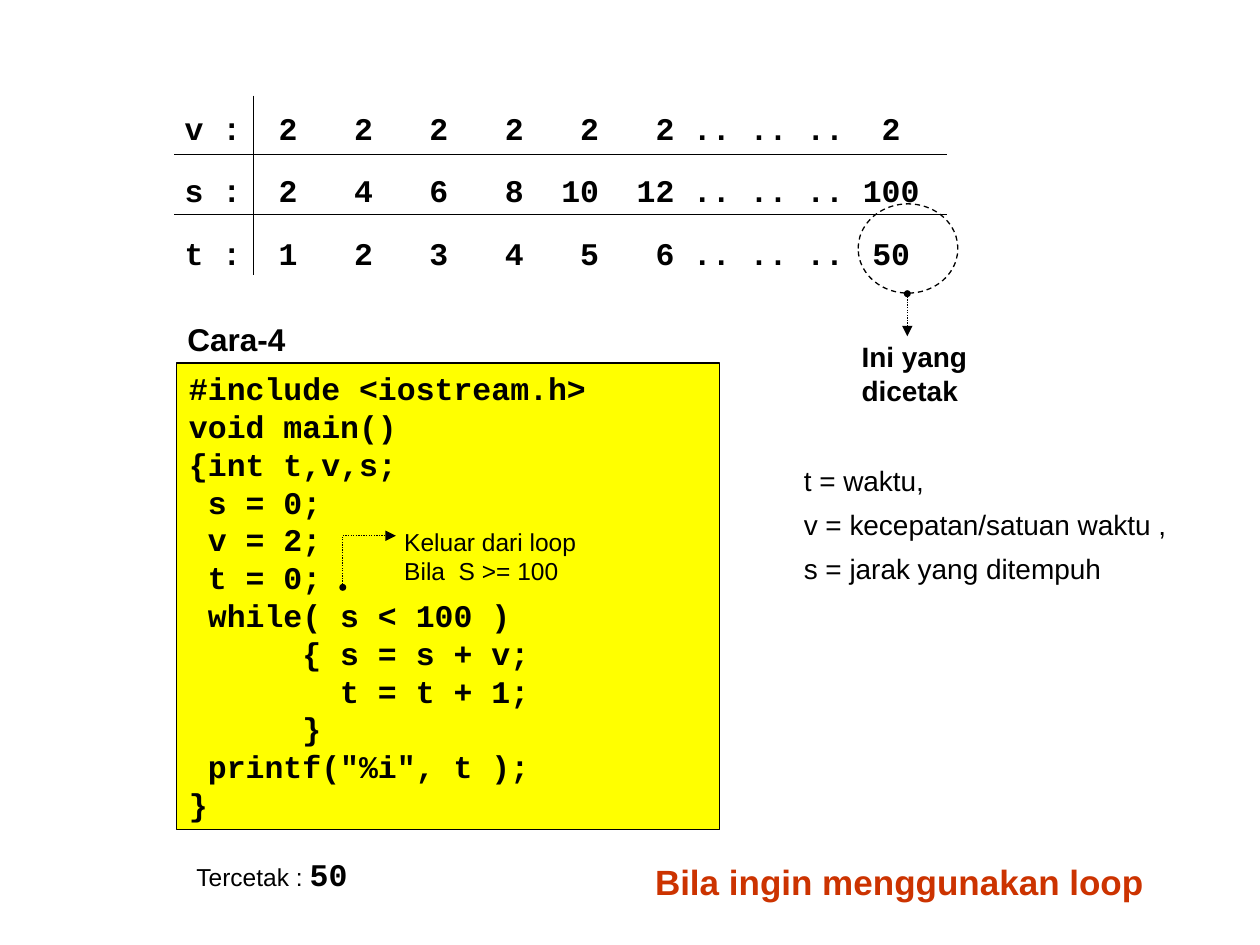
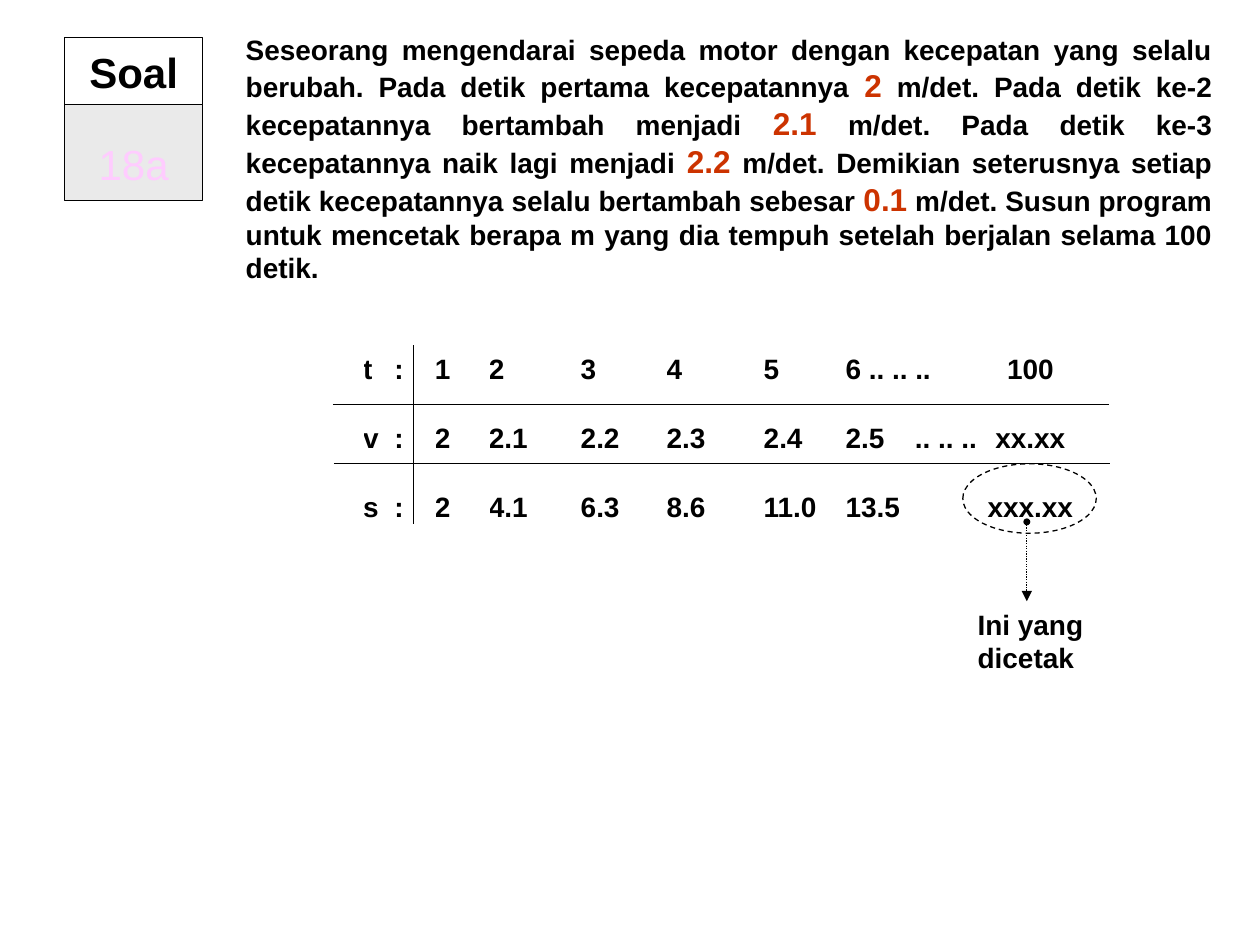
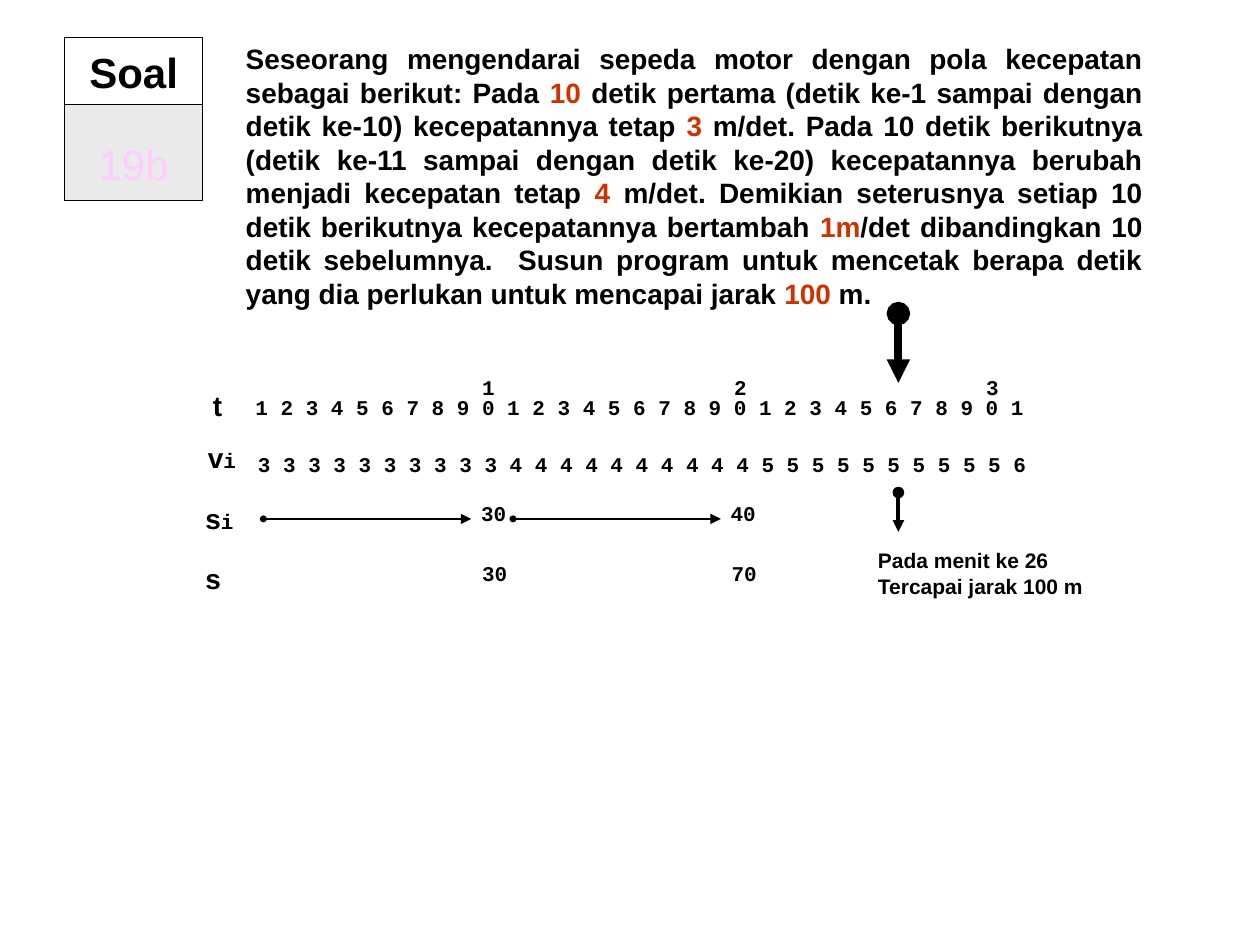
from dataclasses import dataclass
from functools import reduce
from itertools import pairwise

from lxml.etree import SubElement
from pptx import Presentation
from pptx.dml.color import RGBColor
from pptx.enum.dml import MSO_LINE
from pptx.enum.shapes import MSO_CONNECTOR, MSO_SHAPE
from pptx.enum.text import MSO_ANCHOR, MSO_AUTO_SIZE, PP_ALIGN
from pptx.oxml.ns import qn
from pptx.util import Cm, Pt


@dataclass(frozen=True)
class Theme:
    ink: RGBColor = RGBColor(0, 0, 0)
    red: RGBColor = RGBColor(0xCC, 0x33, 0x00)
    pink: RGBColor = RGBColor(0xFF, 0xCC, 0xFF)
    gray: RGBColor = RGBColor(0xEA, 0xEA, 0xEA)
    gold: RGBColor = RGBColor(0xFF, 0xFF, 0x00)
    sans: str = "Arial"
    mono: str = "Courier New"
    tiny: int = 12
    note: int = 14
    text: int = 16
    code: int = 18
    head: int = 20
    tag: int = 24
    thin: float = 0.75


T = Theme()
LEFT, MID, RIGHT = PP_ALIGN.LEFT, PP_ALIGN.CENTER, PP_ALIGN.RIGHT


def font(size, name=T.sans, bold=True, ink=T.ink):
    return {"name": name, "size": Pt(size), "bold": bold, "color.rgb": ink}


PLAIN = font(T.text, bold=False)
BOLD = font(T.text)
CODE = font(T.code, T.mono)
SMALL = font(T.tiny, T.mono)
NOTE = font(T.note, bold=False)
RED = {"color.rgb": T.red}
BIG = RED | {"size": Pt(T.code)}


def style(item, vals):
    for key, val in vals.items():
        *way, end = key.split(".")
        setattr(reduce(getattr, way, item), end, val)


def place(shape, box):
    style(shape, dict(zip(("left", "top", "width", "height"), map(Cm, box))))


def pour(frame, paras, base, gap=1.0, align=LEFT):
    for i, runs in enumerate(paras):
        para = frame.paragraphs[0] if i == 0 else frame.add_paragraph()
        props = para._p.get_or_add_pPr()
        props.set("marL", "0")
        props.set("indent", "0")
        SubElement(props, qn("a:buNone"))
        style(para, {"alignment": align, "space_before": Pt(0), "line_spacing": gap})
        for part in [runs] if isinstance(runs, str) else runs:
            words, change = (part, {}) if isinstance(part, str) else part
            run = para.add_run()
            run.text = words
            style(run.font, base | change)


def write(shape, paras, base, wrap=False, anchor=MSO_ANCHOR.TOP, **opts):
    style(shape.text_frame, {"auto_size": MSO_AUTO_SIZE.NONE, "word_wrap": wrap,
                             "vertical_anchor": anchor})
    pour(shape.text_frame, paras, base, **opts)


def label(slide, box, paras, base, **opts):
    write(slide.shapes.add_textbox(*map(Cm, box)), paras, base, **opts)


def fill(slide, slot, box, paras, base, **opts):
    shape = slide.placeholders[slot]
    place(shape, box)
    write(shape, paras, base, **opts)
    return shape


def edge(shape, dash=None, width=T.thin):
    style(shape.line, {"color.rgb": T.ink, "width": Pt(width), "dash_style": dash})


def block(slide, box, tint=None, kind=MSO_SHAPE.RECTANGLE, dash=None):
    shape = slide.shapes.add_shape(kind, *map(Cm, box))
    shape.shadow.inherit = False
    if tint is None:
        shape.fill.background()
    else:
        shape.fill.solid()
        shape.fill.fore_color.rgb = tint
    edge(shape, dash)
    return shape


def line(slide, start, stop, head=None, tail=None, dash=None, width=T.thin):
    link = slide.shapes.add_connector(
        MSO_CONNECTOR.STRAIGHT, *map(Cm, start + stop))
    edge(link, dash, width)
    for name, kind in (("a:headEnd", head), ("a:tailEnd", tail)):
        if kind:
            size = "sm" if kind == "oval" and width == T.thin else "med"
            SubElement(link.line._get_or_add_ln(), qn(name),
                       type=kind, w=size, len=size)
    SubElement(link._element.spPr, qn("a:effectLst"))


def arrow(slide, start, stop, **opts):
    line(slide, start, stop, head="oval", tail="triangle", **opts)


def table(slide, edges, top, pitch, rows, base, sides):
    wide = edges[-1] - edges[0]
    grid = slide.shapes.add_table(
        len(rows), len(sides),
        *map(Cm, (edges[0], top, wide, pitch * len(rows)))).table
    style(grid, {"first_row": False, "horz_banding": False})
    for col, (start, stop) in zip(grid.columns, pairwise(edges)):
        col.width = Cm(stop - start)
    for r, row in enumerate(rows):
        grid.rows[r].height = Cm(pitch)
        for c, words in enumerate(row):
            cell = grid.cell(r, c)
            cell.fill.background()
            style(cell, {"margin_left": 0, "margin_right": 0, "margin_top": 0,
                         "margin_bottom": 0, "vertical_anchor": MSO_ANCHOR.MIDDLE})
            if words:
                pour(cell.text_frame, [words], base, align=sides[c])
    return grid


def rules(slide, rows, post, top, base):
    for left, right, y in rows:
        line(slide, (left, y), (right, y))
    line(slide, (post, top), (post, base))


def result(slide, ring, start, stop, spot):
    block(slide, ring, kind=MSO_SHAPE.OVAL, dash=MSO_LINE.DASH)
    arrow(slide, start, stop, dash=MSO_LINE.ROUND_DOT)
    label(slide, spot + (2.64, 1.63), ["Ini yang", "dicetak"], BOLD)


def task(slide, mark, box, runs):
    fill(slide, 1, box, [runs], BOLD, wrap=True, align=PP_ALIGN.JUSTIFY)
    head = fill(slide, 0, (1.3, 0.76, 2.79, 1.35), ["Soal"], font(T.tag),
                align=MID, anchor=MSO_ANCHOR.MIDDLE)
    edge(head)
    badge = block(slide, (1.3, 2.11, 2.79, 1.93), T.gray)
    write(badge, [mark], font(T.tag, bold=False, ink=T.pink),
          align=MID, anchor=MSO_ANCHOR.BOTTOM)
    badge.text_frame.margin_bottom = Cm(0.23)


def loop(slide):
    fill(slide, 1, (15.95, 9.02, 8.13, 2.9),
         ["t = waktu,", "v = kecepatan/satuan waktu ,", "s = jarak yang ditempuh"],
         PLAIN, gap=1.3)
    fill(slide, 0, (12.95, 17.22, 11.4, 1.12), ["Bila ingin menggunakan loop"],
         font(T.head, ink=T.red))
    source = """#include <iostream.h>
void main()
{int t,v,s;
 s = 0;
 v = 2;
 t = 0;
 while( s < 100 )
      { s = s + v;
        t = t + 1;
      }
 printf("%i", t );
}"""
    write(block(slide, (3.56, 7.32, 10.95, 9.4), T.gold),
          source.split("\n"), CODE, wrap=True)
    label(slide, (3.71, 17.12, 3.61, 1.02), [["Tercetak : ", ("50", CODE)]], NOTE)
    label(slide, (3.53, 6.32, 2.49, 1.02), ["Cara-4"], font(T.code))

    edges = [3.72 + 0.38 * n for n in (0, *range(4, 7, 2), *range(10, 27, 4), 35, 40)]
    dots = ".. .. .."
    rows = [["v :", *"222222", dots, "2"],
            ["s :", *(str(n) for n in range(2, 13, 2)), dots, "100"],
            ["t :", *"123456", dots, "50"]]
    table(slide, edges, 2.03, 1.26, rows, CODE, [LEFT, *[RIGHT] * 7, MID])
    rules(slide, [(3.51, 19.1, y) for y in (3.12, 4.32)], 5.11, 1.93, 5.54)
    result(slide, (17.3, 4.11, 2.01, 1.8), (18.29, 5.92), (18.29, 6.78), (17.12, 6.73))

    bend = (6.91, 10.8)
    line(slide, (6.91, 11.84), bend, head="oval", dash=MSO_LINE.ROUND_DOT)
    line(slide, bend, (7.98, 10.8), tail="triangle", dash=MSO_LINE.ROUND_DOT)
    label(slide, (7.9, 10.49, 4.32, 1.45),
          ["Keluar dari loop", "Bila  S >= 100"], NOTE, wrap=True)


def speed(slide):
    task(slide, "18a", (4.7, 0.53, 19.99, 5.33), [
        "Seseorang mengendarai sepeda motor dengan kecepatan yang selalu berubah. "
        "Pada detik pertama kecepatannya ", ("2", BIG),
        " m/det. Pada detik ke-2 kecepatannya bertambah menjadi ", ("2.1", BIG),
        " m/det. Pada detik ke-3 kecepatannya naik lagi menjadi ", ("2.2", BIG),
        " m/det. Demikian seterusnya setiap detik kecepatannya selalu bertambah "
        "sebesar ", ("0.1", BIG),
        " m/det. Susun program untuk mencetak berapa m yang dia tempuh setelah "
        "berjalan selama 100 detik."])
    edges = [7.32, 7.95, 8.77, 9.86, 11.71, 13.44, 15.4, 17.05, 18.45, 19.85, 21.7]
    rows = [["t", ":", *"12345", "6 .. .. ..", "", "100"],
            ["v", ":", "2", "2.1", "2.2", "2.3", "2.4", "2.5", ".. .. ..", "xx.xx"],
            ["s", ":", "2", "4.1", "6.3", "8.6", "11.0", "13.5", "", "xxx.xx"]]
    grid = table(slide, edges, 6.77, 1.39, rows, BOLD, [LEFT] * 9 + [MID])
    grid.cell(0, 7).merge(grid.cell(0, 8))
    rules(slide, [(6.71, 22.35, 8.15), (6.73, 22.38, 9.35)], 8.33, 6.96, 10.57)
    result(slide, (19.41, 9.35, 2.69, 1.4), (20.7, 10.52), (20.7, 12.12), (19.46, 12.12))


def steps(slide):
    task(slide, "19b", (4.7, 0.71, 18.59, 5.69), [
        "Seseorang mengendarai sepeda motor dengan pola kecepatan sebagai berikut: "
        "Pada ", ("10 ", RED),
        "detik pertama (detik ke-1 sampai dengan detik ke-10) kecepatannya tetap ",
        ("3", RED),
        " m/det. Pada 10 detik berikutnya (detik ke-11 sampai dengan detik ke-20) "
        "kecepatannya berubah menjadi kecepatan tetap ", ("4", RED),
        " m/det. Demikian seterusnya setiap 10 detik berikutnya kecepatannya "
        "bertambah ", ("1m", RED),
        "/det dibandingkan 10 detik sebelumnya.  Susun program untuk mencetak berapa "
        "detik yang dia perlukan untuk mencapai jarak ", ("100", RED), " m."])
    for x, y, runs in ((4.04, 7.7, ["t"]), (3.94, 8.76, ["v", ("i", SMALL)]),
                       (3.89, 9.98, ["s", ("i", SMALL)]), (3.89, 11.2, ["s"])):
        label(slide, (x, y, 1.17, 0.94), [runs], BOLD, wrap=True)

    times = " ".join(str(n % 10) for n in range(1, 32))
    rates = " ".join(str(3 + n // 10) for n in range(31))
    label(slide, (4.9, 7.82, 16, 0.76), [times], SMALL)
    label(slide, (4.95, 8.97, 16, 0.76), [rates], SMALL)
    for i, ten in enumerate("123"):
        label(slide, (9.47 + 5.08 * i, 7.42, 0.76, 0.76), [ten], SMALL)
    for x, y, total in ((9.45, 9.96, "30"), (14.48, 9.96, "40"),
                        (9.47, 11.18, "30"), (14.5, 11.18, "70")):
        label(slide, (x, y, 1.02, 0.76), [total], SMALL)
    for x in (5.31, 10.34):
        arrow(slide, (x, 10.46), (x + 4.19, 10.46))
    for top, base, width in ((9.93, 10.72, 2.25), (6.32, 7.72, 4.5)):
        arrow(slide, (18.11, top), (18.11, base), width=width)
    label(slide, (17.45, 10.92, 4.67, 1.27),
          ["Pada menit ke 26", "Tercapai jarak 100 m"], font(T.tiny))


def main():
    deck = Presentation()
    style(deck, {"slide_width": Cm(25.4), "slide_height": Cm(19.05)})
    for build in (loop, speed, steps):
        build(deck.slides.add_slide(deck.slide_layouts[1]))
    deck.save("out.pptx")


if __name__ == "__main__":
    main()
